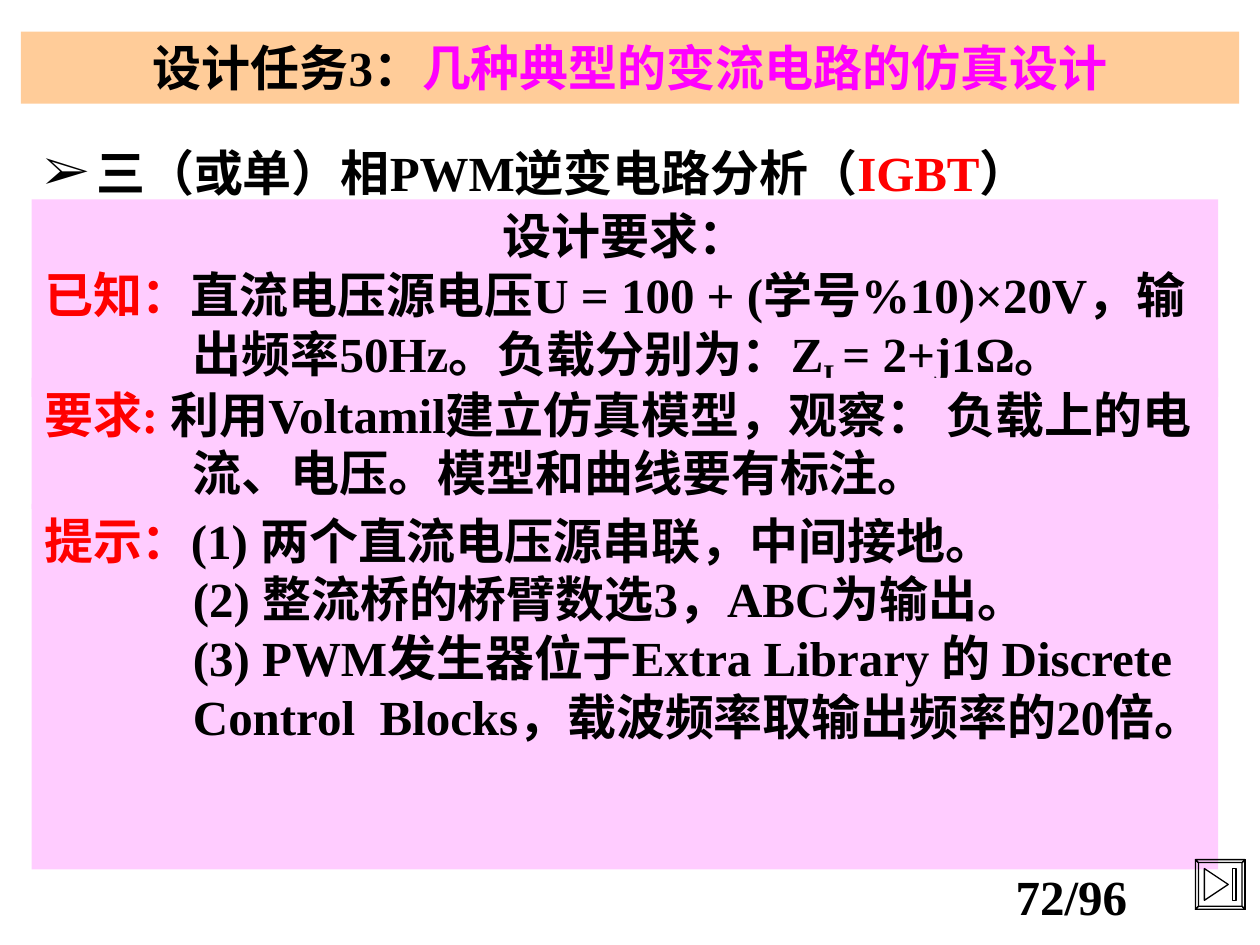
from lxml import etree
from pptx import Presentation
from pptx.dml.color import RGBColor
from pptx.enum.shapes import MSO_SHAPE
from pptx.enum.text import MSO_ANCHOR, PP_ALIGN
from pptx.oxml.ns import qn
from pptx.util import Cm, Pt

RECT, TOP = MSO_SHAPE.RECTANGLE, MSO_ANCHOR.TOP
LEFT, MID = PP_ALIGN.LEFT, PP_ALIGN.CENTER
FONT, SIZE = "Times New Roman", 28
BLACK, RED, PINK = "000000", "FF0000", "FF00FF"
PEACH, LILAC = "FFCC99", "FFCCFF"
HANG = 3.0  # width of the red labels
MARK = 1.05  # width of the arrow bullet

# Paragraph: (alignment, left margin, first-line indent, runs)
# Run: (text, colour[, baseline])
NUMBER = [(MID, 0, 0, [("72/96", BLACK)])]
TITLE = [(MID, 0, 0, [("设计任务3：", BLACK),
                      ("几种典型的变流电路的仿真设计", PINK)])]
TOPIC = [(LEFT, MARK, -MARK, [("三（或单）相PWM逆变电路分析（", BLACK),
                              ("IGBT", RED), ("）", BLACK)])]
GIVEN = [
    (MID, HANG, -HANG, [("设计要求：", BLACK)]),
    (LEFT, HANG, -HANG, [
        ("已知：", RED),
        ("直流电压源电压U = 100 + (学号%10)×20V，"
         "输出频率50Hz。负载分别为：Z", BLACK),
        ("L", BLACK, -25000),
        ("= 2+j1Ω。", BLACK)]),
]
TASK = [(LEFT, HANG, -HANG, [
    ("要求: ", RED),
    ("利用Voltamil建立仿真模型，观察： 负载上的电流、电压。"
     "模型和曲线要有标注。", BLACK)])]
HINTS = [
    (LEFT, HANG, -HANG, [("提示：", RED),
                         ("(1) 两个直流电压源串联，中间接地。", BLACK)]),
    (LEFT, HANG, 0, [("(2) 整流桥的桥臂数选3，ABC为输出。", BLACK)]),
    (LEFT, HANG, 0, [("(3) PWM发生器位于Extra Library 的 Discrete Control  "
                      "Blocks，载波频率取输出频率的20倍。", BLACK)]),
]

# Box: (left, top, width, height, fill, paragraphs), back to front
BOXES = [
    (19.48, 17.35, 4.24, 2.64, None, NUMBER),
    (0.42, 0.64, 24.56, 1.45, PEACH, TITLE),
    (0.64, 2.75, 24.34, 1.45, None, TOPIC),
    (0.64, 4.02, 23.92, 3.98, LILAC, GIVEN),
    (0.64, 7.62, 23.92, 2.64, LILAC, TASK),
    (0.64, 10.16, 23.92, 7.37, LILAC, HINTS),
]
BUTTON = (24.1, 17.33, 1.0, 0.06)  # left, top, side, bevel


def color(code):
    return RGBColor.from_string(code)


def write(frame, paras):
    frame.word_wrap = True
    frame.vertical_anchor = TOP
    for num, (align, margin, indent, runs) in enumerate(paras):
        para = frame.paragraphs[0] if num == 0 else frame.add_paragraph()
        para.alignment = align
        props = para._p.get_or_add_pPr()
        props.set("marL", str(Cm(margin)))
        props.set("indent", str(Cm(indent)))
        for text, code, *base in runs:
            run = para.add_run()
            run.text = text
            font = run.font
            font.name, font.size, font.bold = FONT, Pt(SIZE), True
            font.color.rgb = color(code)
            if base:
                run._r.get_or_add_rPr().set("baseline", str(base[0]))


def add_box(shapes, left, top, width, height, fill, paras):
    place = [Cm(v) for v in (left, top, width, height)]
    if fill:
        box = shapes.add_shape(RECT, *place)
        box.shadow.inherit = False
        box.fill.solid()
        box.fill.fore_color.rgb = color(fill)
        box.line.fill.background()
    else:
        box = shapes.add_textbox(*place)
    write(box.text_frame, paras)
    return box


def add_bullet(para, char):
    props = para._p.get_or_add_pPr()
    etree.SubElement(props, qn("a:buFont")).set("typeface", FONT)
    etree.SubElement(props, qn("a:buChar")).set("char", char)


def add_button(shapes, left, top, side, bevel):
    """Draw a bevelled button with a triangle and an end bar."""
    def square(gap):
        low, high = gap, side - gap
        return [(low, low), (high, low), (high, high), (low, high)]

    outer, inner = square(0), square(bevel)
    edges = [[outer[i], outer[i - 1], inner[i - 1], inner[i]]
             for i in range(4)]
    near, far = 0.18, side - 0.18
    arrow = [(near, near), (0.66, side / 2), (near, far)]
    bar = [(0.74, near), (far, near), (far, far), (0.74, far)]

    pen = None
    for ring in [outer, *edges, arrow, bar]:
        pts = [(Cm(left + x), Cm(top + y)) for x, y in ring]
        if pen is None:
            pen = shapes.build_freeform(*pts[0])
        else:
            pen.move_to(*pts[0])
        pen.add_line_segments(pts[1:], close=True)
    button = pen.convert_to_shape()
    button.shadow.inherit = False
    button.fill.background()
    button.line.color.rgb = color(BLACK)
    button.line.width = Pt(0.75)


def main():
    deck = Presentation()
    deck.slide_width, deck.slide_height = Cm(25.4), Cm(19.05)
    shapes = deck.slides.add_slide(deck.slide_layouts[6]).shapes
    for row in BOXES:
        box = add_box(shapes, *row)
        if row[-1] is TOPIC:
            add_bullet(box.text_frame.paragraphs[0], "➢")
    add_button(shapes, *BUTTON)
    deck.save("out.pptx")


if __name__ == "__main__":
    main()
